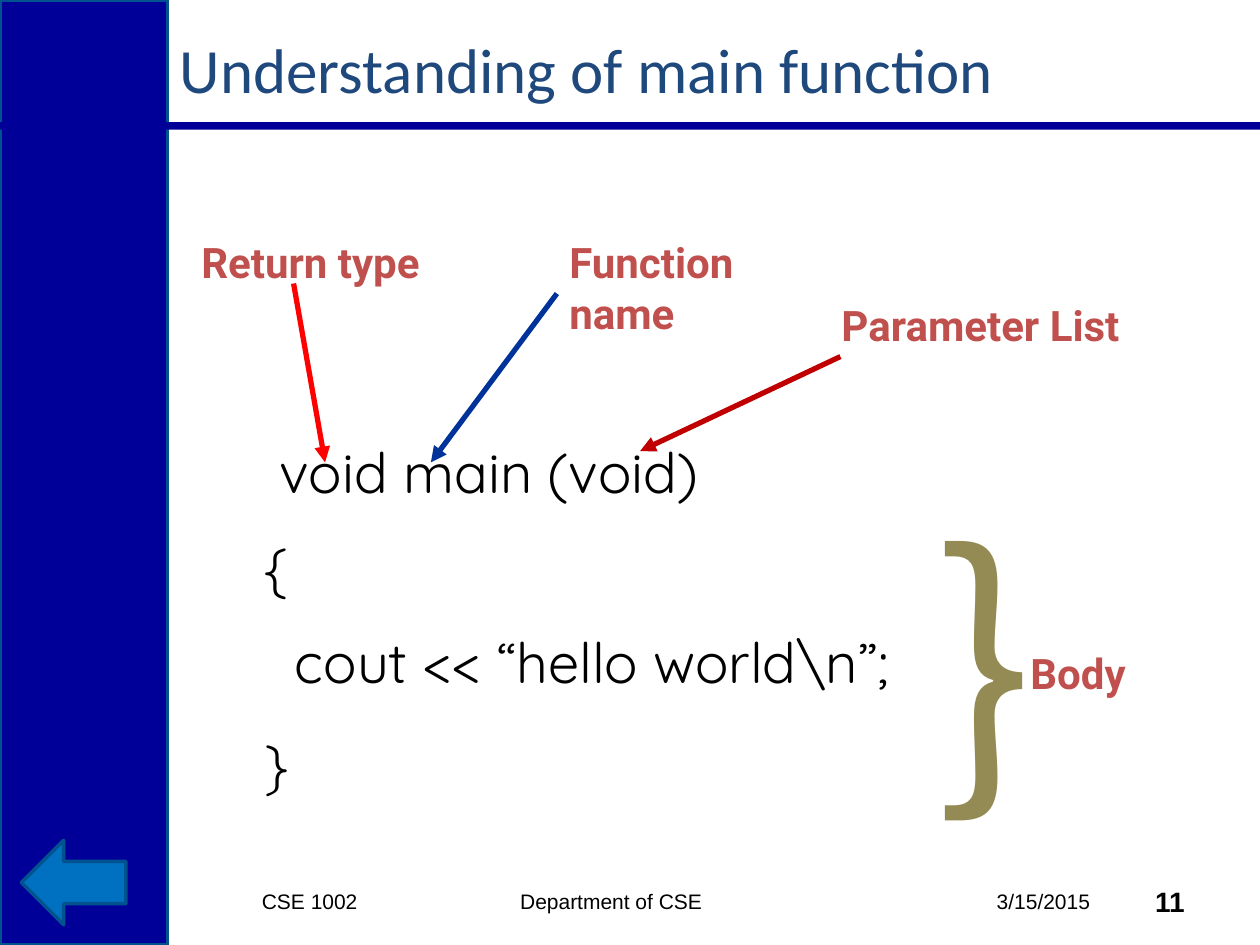
import pptx
import pptx.util
from lxml import etree
from pptx.dml.color import RGBColor
from pptx.enum.shapes import MSO_CONNECTOR, MSO_SHAPE
from pptx.enum.text import MSO_ANCHOR, PP_ALIGN
from pptx.oxml.ns import qn

Inches, Pt = pptx.util.Inches, pptx.util.Pt

WIDTH, HEIGHT = 10, 7.5
SIDEBAR = WIDTH * 0.133

NAVY = RGBColor(0x00, 0x00, 0x99)
EDGE = RGBColor(0x00, 0x53, 0x8E)
SKY = RGBColor(0x00, 0x70, 0xC0)
TITLE = RGBColor(0x1F, 0x49, 0x7D)
BRICK = RGBColor(0xC0, 0x50, 0x4D)
OLIVE = RGBColor(0x94, 0x8A, 0x54)
BLACK = RGBColor(0x00, 0x00, 0x00)
RED = RGBColor(0xFF, 0x00, 0x00)
BLUE = RGBColor(0x00, 0x33, 0x99)
DARK_RED = RGBColor(0xC0, 0x00, 0x00)


def add_panel(slide, kind, box, fill, edge=None):
    panel = slide.shapes.add_shape(kind, *map(Inches, box))
    panel.shadow.inherit = False
    panel.fill.solid()
    panel.fill.fore_color.rgb = fill
    if edge is None:
        panel.line.fill.background()
    else:
        panel.line.color.rgb = edge
        panel.line.width = Pt(2)


def add_text(slide, box, lines, font, size, color, bold=False,
             align=PP_ALIGN.LEFT, anchor=MSO_ANCHOR.TOP, gaps=()):
    """Write one paragraph per line; gaps are the points before each later line."""
    frame = slide.shapes.add_textbox(*map(Inches, box)).text_frame
    frame.word_wrap = True
    frame.vertical_anchor = anchor
    for index, line in enumerate(lines):
        paragraph = frame.add_paragraph() if index else frame.paragraphs[0]
        paragraph.alignment = align
        if index:
            paragraph.space_before = Pt(gaps[index - 1])
        run = paragraph.add_run()
        run.text = line
        run.font.name = font
        run.font.size = Pt(size)
        run.font.bold = bold
        run.font.color.rgb = color


def add_arrow(slide, start, end, color):
    arrow = slide.shapes.add_connector(
        MSO_CONNECTOR.STRAIGHT, *map(Inches, (*start, *end)))
    arrow.line.color.rgb = color
    arrow.line.width = Pt(3)
    etree.SubElement(arrow.line._get_or_add_ln(), qn("a:tailEnd"), type="triangle")
    etree.SubElement(arrow._element.spPr, qn("a:effectLst"))


def add_frame(slide):
    """Sidebar, rule under the title and the back arrow."""
    add_panel(slide, MSO_SHAPE.RECTANGLE, (0, 0, SIDEBAR, HEIGHT), NAVY, EDGE)
    add_panel(slide, MSO_SHAPE.RECTANGLE, (0, 0.97, WIDTH, 0.06), NAVY)
    add_panel(slide, MSO_SHAPE.LEFT_ARROW, (0.17, 6.67, 0.83, 0.67), SKY, EDGE)


def add_footer(slide, top, height):
    entries = [
        ("CSE 1002", 1.98, 1.5, 12, False, PP_ALIGN.LEFT),
        ("Department of CSE", 4.03, 2.22, 12, False, PP_ALIGN.LEFT),
        ("3/15/2015", 7, 1.75, 12, False, PP_ALIGN.RIGHT),
        ("11", 8.75, 0.75, 16, True, PP_ALIGN.RIGHT),
    ]
    for entry, left, width, size, bold, align in entries:
        add_text(slide, (left, top, width, height), [entry], "Arial", size, BLACK,
                 bold, align, MSO_ANCHOR.MIDDLE)


def add_code(slide, box):
    code = [" void main (void)", "{", "  cout << “hello world\\n”;", "}"]
    add_text(slide, box, code, "Quicksand", 32, BLACK, gaps=(16, 16, 20))


def add_callouts(slide):
    labels = [
        ("Return type", (1.5, 1.83, 2.58, 0.51)),
        ("Function name", (4.42, 1.83, 2.25, 0.91)),
        ("Parameter List", (6.58, 2.33, 2.75, 0.51)),
        ("Body", (8.08, 5.09, 1.67, 0.51)),
    ]
    for label, box in labels:
        add_text(slide, box, [label], "Roboto", 24, BRICK, bold=True)
    add_arrow(slide, (2.33, 2.25), (2.58, 3.67), RED)
    add_arrow(slide, (4.42, 2.33), (3.42, 3.67), BLUE)
    add_arrow(slide, (6.67, 2.83), (5.08, 3.58), DARK_RED)
    add_text(slide, (7.33, 3.77, 0.92, 2.89), ["}"], "Noto Sans CJK JP", 166, OLIVE)


def main():
    deck = pptx.Presentation()
    deck.slide_width, deck.slide_height = Inches(WIDTH), Inches(HEIGHT)
    slide = deck.slides.add_slide(deck.slide_layouts[6])
    add_frame(slide)
    add_text(slide, (SIDEBAR, 0.17, 7.83, 0.75), ["Understanding of main function"],
             "Calibri", 36, TITLE, anchor=MSO_ANCHOR.MIDDLE)
    add_footer(slide, 6.95, 0.4)
    add_code(slide, (2, 3.42, 5.67, 3.27))
    add_callouts(slide)
    deck.save("out.pptx")


if __name__ == "__main__":
    main()
